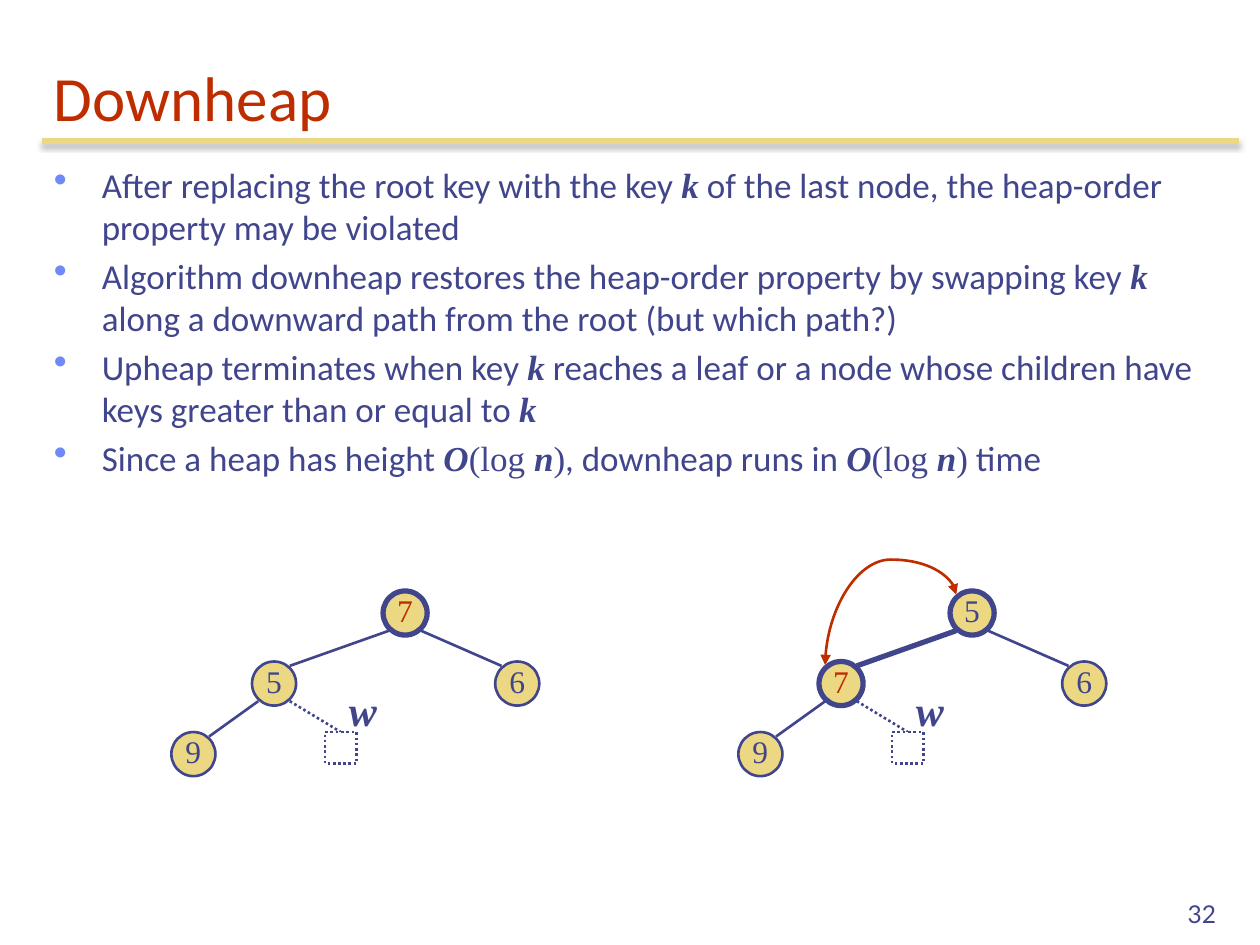
from lxml.etree import SubElement
from pptx import Presentation
from pptx.dml.color import RGBColor
from pptx.enum.dml import MSO_LINE_DASH_STYLE as Dash
from pptx.enum.shapes import MSO_CONNECTOR as Connector, MSO_SHAPE as Shape
from pptx.enum.text import MSO_ANCHOR as Anchor, PP_ALIGN as Align
from pptx.oxml.ns import qn
from pptx.util import Inches, Pt

INK = RGBColor(0x40, 0x45, 0x8C)
RED = RGBColor(0xBE, 0x2D, 0x00)
GOLD = RGBColor(0xEC, 0xD8, 0x82)
WHITE = RGBColor(0xFF, 0xFF, 0xFF)
BULLET = "6F89F7"
SANS, SERIF = "Calibri", "Times New Roman"

NODE, LEAF = 0.35, 0.25
EDGE_DX, EDGE_DY = 0.125, 0.14
THIN, THICK = 1.5, 3

# Run styles: plain text, math symbol, upright math
TEXT = {"font": SANS}
VAR = {"font": SERIF, "bold": True, "italic": True}
MATH = {"font": SERIF}
K = ("k", VAR)
LOG_N = [("O", VAR), ("(log ", MATH), ("n", VAR), (")", MATH)]

BULLETS = [
    [("After replacing the root key with the key ", TEXT), K,
     (" of the last node, the heap-order property may be violated", TEXT)],
    [("Algorithm downheap restores the heap-order property by swapping key ", TEXT), K,
     (" along a downward path from the root (but which path?)", TEXT)],
    [("Upheap terminates when key ", TEXT), K,
     (" reaches a leaf or a node whose children have keys greater than or equal to ", TEXT), K],
    [("Since a heap has height ", TEXT), *LOG_N, (", downheap runs in ", TEXT), *LOG_N,
     (" time", TEXT)],
]

# Node centres within a tree, relative to the tree's left offset
ROOT, LEFT, RIGHT, LEFT_LEAF = (3.215, 4.865), (2.175, 5.425), (4.105, 5.425), (1.535, 5.985)
REMOVED = (2.705, 5.935)


def add_run(p, text, size, font=SANS, color=INK, bold=False, italic=False):
    r = p.add_run()
    r.text = text
    f = r.font
    f.size, f.name, f.bold, f.italic = Pt(size), font, bold, italic
    f.color.rgb = color


def add_text(s, text, x, y, w, h, size, align=Align.LEFT, anchor=Anchor.TOP, wrap=True, **fmt):
    tf = s.shapes.add_textbox(Inches(x), Inches(y), Inches(w), Inches(h)).text_frame
    tf.word_wrap, tf.vertical_anchor = wrap, anchor
    p = tf.paragraphs[0]
    p.alignment = align
    add_run(p, text, size, **fmt)


def set_bullet(p):
    pPr = p._p.get_or_add_pPr()
    pPr.set("marL", str(Inches(0.38)))
    pPr.set("indent", str(-Inches(0.38)))
    SubElement(SubElement(pPr, qn("a:buClr")), qn("a:srgbClr"), val=BULLET)
    SubElement(pPr, qn("a:buSzPct"), val="110000")
    SubElement(pPr, qn("a:buChar"), char="•")


def add_bullets(s):
    tf = s.shapes.add_textbox(Inches(0.33), Inches(1.25), Inches(9.5), Inches(5.67)).text_frame
    tf.word_wrap = True
    for i, runs in enumerate(BULLETS):
        p = tf.add_paragraph() if i else tf.paragraphs[0]
        p.space_before = Pt(4)
        set_bullet(p)
        for text, style in runs:
            add_run(p, text, 20, **style)


def add_line(s, start, end, color=INK, width=THIN, dash=None, kind=Connector.STRAIGHT):
    """Draw a connector; return it with its empty effect list."""
    c = s.shapes.add_connector(kind, *(Inches(v) for v in (*start, *end)))
    c.line.color.rgb, c.line.width = color, Pt(width)
    if dash:
        c.line.dash_style = dash
    return c, SubElement(c._element.spPr, qn("a:effectLst"))


def add_title_rule(s):
    _, effects = add_line(s, (0.33, 1.12), (9.83, 1.12), GOLD, THICK)
    shadow = SubElement(effects, qn("a:outerShdw"), blurRad=str(Pt(3.1)), dist=str(Pt(1.8)),
                        dir="5400000", algn="ctr", rotWithShape="0")
    SubElement(SubElement(shadow, qn("a:srgbClr"), val="000000"), qn("a:alpha"), val="35000")


def add_centred(s, kind, center, size, fill, width=THIN):
    x, y = center
    sp = s.shapes.add_shape(kind, Inches(x - size / 2), Inches(y - size / 2),
                            Inches(size), Inches(size))
    sp.shadow.inherit = False
    sp.fill.solid()
    sp.fill.fore_color.rgb = fill
    sp.line.color.rgb, sp.line.width = INK, Pt(width)
    return sp


def add_node(s, key, center, color=INK, width=THIN):
    tf = add_centred(s, Shape.OVAL, center, NODE, GOLD, width).text_frame
    tf.margin_left = tf.margin_right = tf.margin_top = 0
    tf.margin_bottom = Inches(0.05)
    tf.word_wrap, tf.vertical_anchor = False, Anchor.MIDDLE
    tf.paragraphs[0].alignment = Align.CENTER
    add_run(tf.paragraphs[0], key, 18, SERIF, color)


def add_edge(s, parent, child, width=THIN):
    side = 1 if child[0] > parent[0] else -1
    add_line(s, (parent[0] + side * EDGE_DX, parent[1] + EDGE_DY),
             (child[0] - side * EDGE_DX, child[1] - EDGE_DY), width=width)


def add_tree(s, dx, root, left, root_color=INK, left_color=INK, left_width=THIN):
    """Draw the heap; left_width also applies to the edge from the root."""
    top, l, r, leaf, gone = ((x + dx, y) for x, y in (ROOT, LEFT, RIGHT, LEFT_LEAF, REMOVED))
    add_edge(s, top, l, left_width)
    add_edge(s, top, r)
    add_edge(s, l, leaf)
    add_line(s, (l[0] + EDGE_DX, l[1] + EDGE_DY), (gone[0], gone[1] - LEAF / 2),
             dash=Dash.ROUND_DOT)
    add_node(s, root, top, root_color, THICK)
    add_node(s, left, l, left_color, left_width)
    add_node(s, "6", r)
    add_node(s, "9", leaf)
    box = add_centred(s, Shape.RECTANGLE, gone, LEAF, WHITE)
    box.line.dash_style = Dash.ROUND_DOT
    add_text(s, "w", 2.67 + dx, 5.38, 0.42, 0.5, 24, Align.CENTER, wrap=False, **VAR)


def add_swap_arrow(s):
    """Double-headed curve that rises from the root and drops to its left child."""
    x, y, w, h = 6.79, 4.48, 0.56, 1.04
    c, _ = add_line(s, (x, y), (x + w, y + h), RED, kind=Connector.CURVE)
    spPr = c._element.spPr
    xfrm = spPr.find(qn("a:xfrm"))
    for name, value in (("rot", "16200000"), ("flipH", "1"), ("flipV", "1")):
        xfrm.set(name, value)
    guides = spPr.find(qn("a:prstGeom")).find(qn("a:avLst"))
    SubElement(guides, qn("a:gd"), name="adj1", fmla="val -49800")
    for end in ("a:headEnd", "a:tailEnd"):
        SubElement(spPr.find(qn("a:ln")), qn(end), type="triangle")


def main():
    prs = Presentation()
    prs.slide_width, prs.slide_height = Inches(10), Inches(7.5)
    s = prs.slides.add_slide(prs.slide_layouts[6])
    add_title_rule(s)
    add_text(s, "Downheap", 0.33, 0.33, 9.5, 0.78, 36, anchor=Anchor.BOTTOM, color=RED)
    add_bullets(s)
    add_text(s, "32", 7.67, 6.92, 2.08, 0.5, 14, Align.RIGHT, Anchor.BOTTOM, font="Lato")
    add_tree(s, 0, "7", "5", root_color=RED)
    add_tree(s, 4.5, "5", "7", left_color=RED, left_width=THICK)
    add_swap_arrow(s)
    prs.save("out.pptx")


if __name__ == "__main__":
    main()
